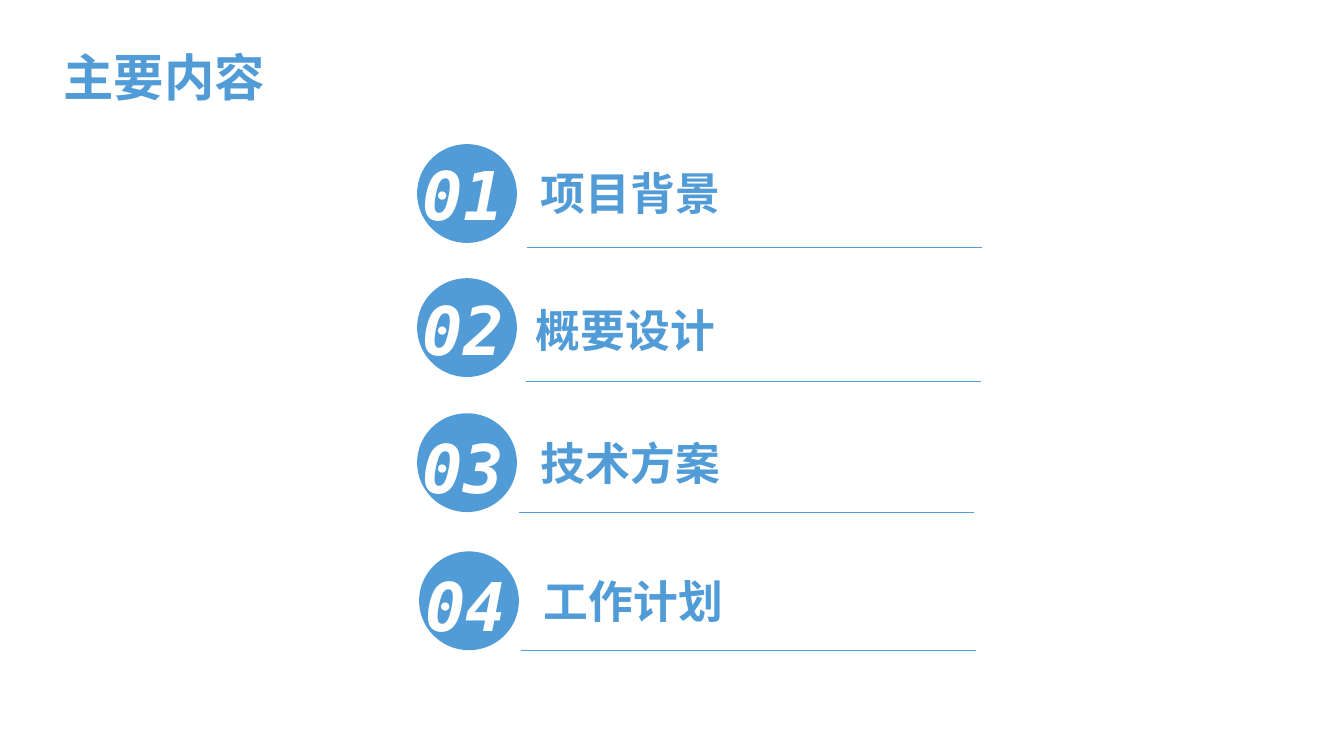
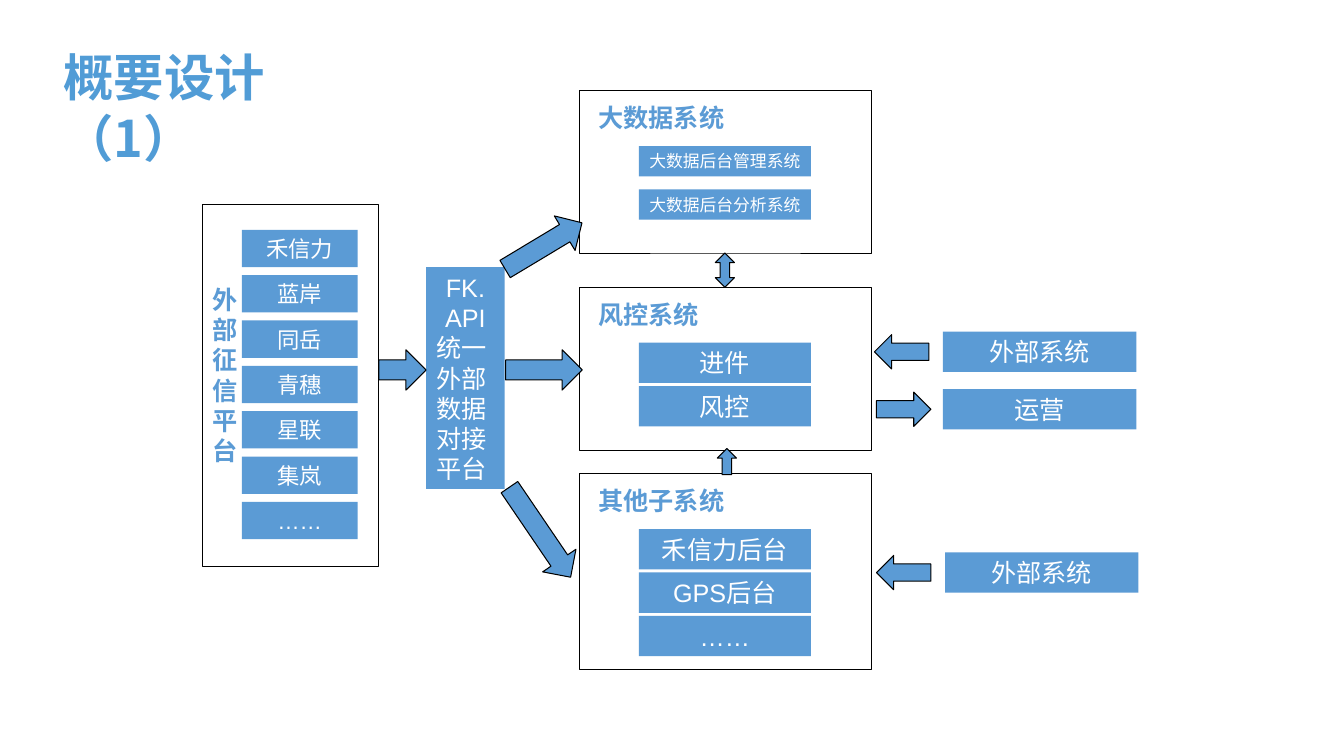
from lxml import etree
from pptx import Presentation
from pptx.dml.color import RGBColor
from pptx.enum.shapes import MSO_CONNECTOR, MSO_SHAPE as SHAPE
from pptx.enum.text import MSO_ANCHOR as ANCHOR, PP_ALIGN as ALIGN
from pptx.oxml.ns import qn
from pptx.util import Inches, Pt

# Shared style
ACCENT, RULE, BLOCK = "519CD6", "529DD7", "5B9BD5"
WHITE, BLACK = "FFFFFF", "000000"
HEAD_FONT, BODY_FONT, NUMBER_FONT = "Noto Sans CJK SC", "Arial", "DejaVu Sans Mono"


def color(code):
    return RGBColor.from_string(code)


def add_span(para, text, size, font, code, bold=False, italic=False):
    span = para.add_run()
    span.text = text
    span.font.name = font
    span.font.size = Pt(size)
    span.font.bold, span.font.italic = bold, italic
    span.font.color.rgb = color(code)
    east = etree.SubElement(span.font._element, qn("a:ea"))
    east.set("typeface", font)


def add_label(page, x, y, w, h, text, size, font=HEAD_FONT, code=BLOCK, italic=False):
    box = page.shapes.add_textbox(Inches(x), Inches(y), Inches(w), Inches(h))
    box.text_frame.word_wrap = True
    add_span(box.text_frame.paragraphs[0], text, size, font, code, True, italic)


def add_title(page, text, w, h):
    add_label(page, 0.53, 0.41, w, h, text, 36, code=ACCENT)


def add_form(page, kind, x, y, w, h, fill=None, line=None):
    form = page.shapes.add_shape(kind, Inches(x), Inches(y), Inches(w), Inches(h))
    form.shadow.inherit = False
    if fill:
        form.fill.solid()
        form.fill.fore_color.rgb = color(fill)
    else:
        form.fill.background()
    if line:
        form.line.color.rgb = color(line)
        form.line.width = Pt(0.75)
    else:
        form.line.fill.background()
    return form


def add_block(page, x, y, w, h, lines, size=18):
    """Filled block; lines holds (text, alignment) pairs."""
    frame = add_form(page, SHAPE.RECTANGLE, x, y, w, h, BLOCK).text_frame
    frame.word_wrap = True
    frame.vertical_anchor = ANCHOR.MIDDLE
    for index, (text, align) in enumerate(lines):
        para = frame.add_paragraph() if index else frame.paragraphs[0]
        para.alignment = align
        add_span(para, text, size, BODY_FONT, WHITE)


def add_stack(page, x, y, w, h, pitch, names, size=18):
    for index, name in enumerate(names):
        add_block(page, x, y + index * pitch, w, h, [(name, ALIGN.CENTER)], size)


def add_arrow(page, kind, x, y, w, h, turn=0):
    add_form(page, kind, x, y, w, h, BLOCK, BLACK).rotation = turn


def add_rule(page, x, y, w):
    rule = page.shapes.add_connector(
        MSO_CONNECTOR.STRAIGHT, Inches(x), Inches(y), Inches(x + w), Inches(y))
    rule.line.color.rgb = color(RULE)
    rule.line.width = Pt(0.5)
    etree.SubElement(rule._element.spPr, qn("a:effectLst"))


# Contents slide
def add_entry(page, x, y, number, drop, name, name_at, rule_at):
    """Numbered entry; the inner offsets count from the disc's corner."""
    add_form(page, SHAPE.OVAL, x, y, 0.99, 0.98, ACCENT)
    add_label(page, x - 0.04, y + drop, 1.12, 0.9, number, 48, NUMBER_FONT, WHITE, True)
    add_label(page, x + name_at[0], y + name_at[1], 3.11, 0.64, name, 32, code=ACCENT)
    add_rule(page, x + rule_at[0], y + rule_at[1], 4.52)


def build_contents(page):
    add_title(page, "主要内容", 3.19, 0.7)
    entries = [
        (4.14, 1.43, "01", 0.04, "项目背景", (1.13, 0.16), (1.09, 1.02)),
        (4.14, 2.76, "02", 0.05, "概要设计", (1.08, 0.19), (1.08, 1.02)),
        (4.14, 4.1, "03", 0.08, "技术方案", (1.13, 0.17), (1.01, 0.98)),
        (4.16, 5.47, "04", 0.08, "工作计划", (1.14, 0.17), (1.01, 0.98)),
    ]
    for entry in entries:
        add_entry(page, *entry)


# Design slide
def add_sources(page, x, y):
    add_form(page, SHAPE.RECTANGLE, x, y, 1.75, 3.59, line=BLACK)
    add_label(page, x, y + 0.74, 0.39, 1.9, "外部征信平台", 18)
    names = ["禾信力", "蓝岸", "同岳", "青穗", "星联", "集岚", "……"]
    add_stack(page, x + 0.39, y + 0.25, 1.15, 0.37, 0.45, names, 16)


def add_system(page, x, y, h, name, parts, part_height=0.4, size=18):
    add_form(page, SHAPE.RECTANGLE, x, y, 2.9, h, line=BLACK)
    add_label(page, x + 0.09, y + 0.07, 1.72, 0.4, name, 18)
    add_stack(page, x + 0.59, y + 0.55, 1.71, part_height, 0.43, parts, size)


def add_flows(page):
    arrows = [
        (SHAPE.RIGHT_ARROW, 3.76, 3.47, 0.47, 0.4),
        (SHAPE.RIGHT_ARROW, 4.95, 2.24, 0.89, 0.4, 329),
        (SHAPE.RIGHT_ARROW, 5.02, 3.47, 0.76, 0.4),
        (SHAPE.RIGHT_ARROW, 4.82, 5.08, 1.08, 0.4, 55.8),
        (SHAPE.UP_DOWN_ARROW, 7.1, 2.51, 0.19, 0.34),
        (SHAPE.UP_ARROW, 7.12, 4.45, 0.19, 0.26),
        (SHAPE.RIGHT_ARROW, 8.68, 3.32, 0.54, 0.34, 180),
        (SHAPE.RIGHT_ARROW, 8.7, 3.89, 0.54, 0.34),
        (SHAPE.RIGHT_ARROW, 8.7, 5.51, 0.54, 0.34, 180),
    ]
    for arrow in arrows:
        add_arrow(page, *arrow)


def build_design(page):
    add_title(page, "概要设计（1）", 3.46, 1.3)
    add_sources(page, 2.01, 2.03)
    add_block(page, 4.23, 2.65, 0.78, 2.2, [
        ("FK.", ALIGN.CENTER), ("API", ALIGN.CENTER),
        ("统一外部数据对接平台", ALIGN.LEFT)])

    # Inner systems
    add_system(page, 5.75, 0.9, 1.62, "大数据系统",
               ["大数据后台管理系统", "大数据后台分析系统"], 0.3, 12)
    add_system(page, 5.75, 2.85, 1.62, "风控系统", ["进件", "风控"])
    add_system(page, 5.75, 4.7, 1.94, "其他子系统", ["禾信力后台", "GPS后台", "……"])

    # Outer systems
    add_stack(page, 9.36, 3.29, 1.92, 0.4, 0.57, ["外部系统", "运营"])
    add_stack(page, 9.38, 5.48, 1.92, 0.4, 0.57, ["外部系统"])
    add_flows(page)


def main():
    deck = Presentation()
    deck.slide_width, deck.slide_height = Inches(13.34), Inches(7.5)
    for build in (build_contents, build_design):
        build(deck.slides.add_slide(deck.slide_layouts[6]))
    deck.save("out.pptx")


if __name__ == "__main__":
    main()
